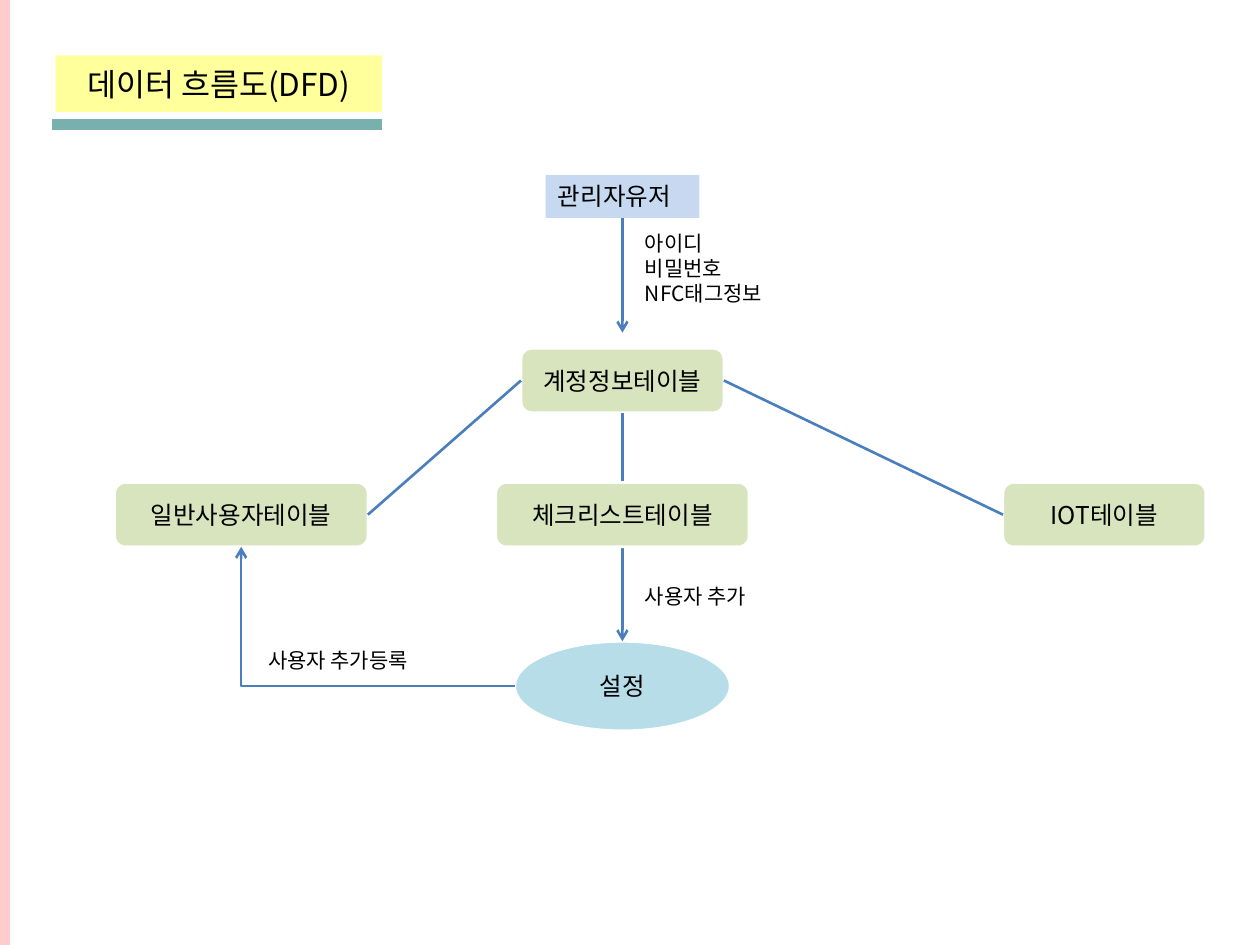
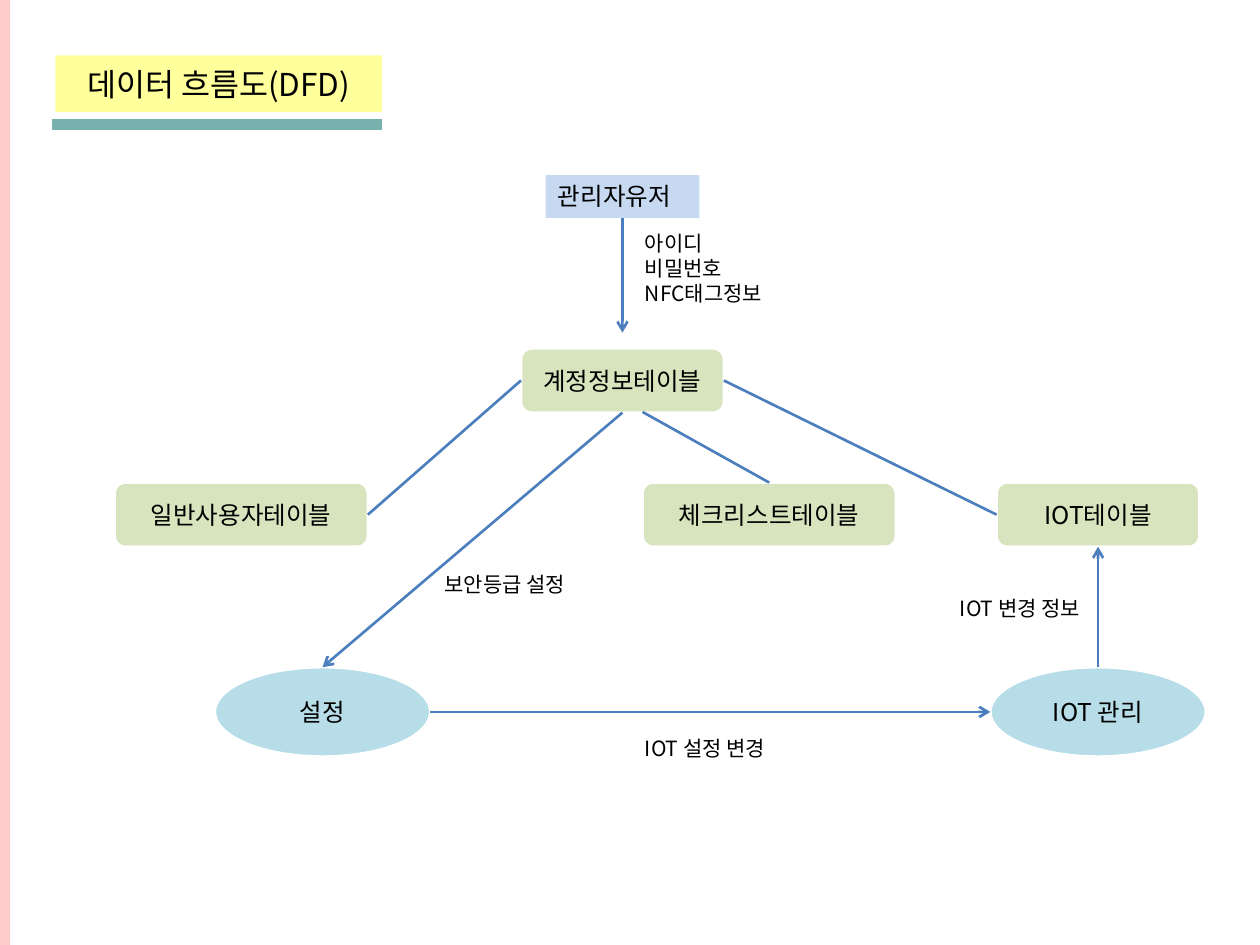
"""Build two data flow diagrams on a shared grid of 100 columns by 75 rows."""
from dataclasses import dataclass

from lxml.etree import SubElement
from pptx import Presentation
from pptx.dml.color import RGBColor
from pptx.enum.shapes import MSO_CONNECTOR, MSO_SHAPE
from pptx.enum.text import MSO_ANCHOR, MSO_AUTO_SIZE, PP_ALIGN
from pptx.oxml.ns import qn
from pptx.util import Inches, Pt

COLS, ROWS = 100, 75
WIDTH, HEIGHT = Inches(10), Inches(7.5)
CENTRE, ACCOUNT_Y, TABLE_Y = 49.4, 30.2, 40.85
NARROW, WIDE, OVAL = (16.1, 5.1), (20.1, 5.1), (17.1, 7.1)


@dataclass(frozen=True)
class Theme:
    """Colours and type sizes of both slides."""
    font: str = "Noto Sans CJK KR"
    ink: str = "000000"
    white: str = "FFFFFF"
    title_fill: str = "FFFF00"
    title_alpha: int = 39
    rule: str = "78B0AD"
    band: str = "FFCCCC"
    user: str = "C6D9F1"
    table: str = "D7E4BD"
    process: str = "B7DEE8"
    flow: str = "4B7EBC"
    title_size: int = 18
    node_size: int = 14
    label_size: int = 12
    rule_width: float = 6
    flow_width: float = 1.5


THEME = Theme()


def col(n):
    """Return the distance of n columns."""
    return round(WIDTH * n / COLS)


def row(n):
    """Return the distance of n rows."""
    return round(HEIGHT * n / ROWS)


def box(x, y, w, h):
    """Return a grid box as slide lengths."""
    return col(x), row(y), col(w), row(h)


def set_attrs(obj, values):
    """Set each named attribute of an object."""
    for name, value in values.items():
        setattr(obj, name, value)


def paint(sp, color):
    """Give a shape a solid fill."""
    sp.fill.solid()
    sp.fill.fore_color.rgb = RGBColor.from_string(color)


def write(sp, text, size, align=PP_ALIGN.CENTER, anchor=MSO_ANCHOR.MIDDLE):
    """Write text lines into a shape in the theme font."""
    tf = sp.text_frame
    tf.text = text
    set_attrs(tf, {"word_wrap": True, "auto_size": MSO_AUTO_SIZE.NONE,
                   "vertical_anchor": anchor})
    for p in tf.paragraphs:
        p.alignment = align
        for r in p.runs:
            set_attrs(r.font, {"name": THEME.font, "size": Pt(size)})
            r.font.color.rgb = RGBColor.from_string(THEME.ink)
            SubElement(r.font._element, qn("a:ea"), typeface=THEME.font)


def add_node(s, kind, centre, size, color, text="", outline=True, **layout):
    """Add a filled shape around a centre point."""
    (x, y), (w, h) = centre, size
    sp = s.shapes.add_shape(kind, *box(x - w / 2, y - h / 2, w, h))
    sp.shadow.inherit = False
    paint(sp, color)
    if outline:
        sp.line.color.rgb = RGBColor.from_string(THEME.white)
        sp.line.width = Pt(THEME.flow_width)
    else:
        sp.line.fill.background()
    if text:
        write(sp, text, THEME.node_size, **layout)
    return sp


def add_table_node(s, text, x, y=TABLE_Y, size=WIDE):
    """Add a rounded box for a data table."""
    return add_node(s, MSO_SHAPE.ROUNDED_RECTANGLE, (x, y), size, THEME.table, text)


def add_process(s, text, x, y):
    """Add an oval for a process."""
    return add_node(s, MSO_SHAPE.OVAL, (x, y), OVAL, THEME.process, text)


def add_label(s, text, x, y):
    """Add a flow label with its top left at a grid point."""
    h = 0.5 + 2.3 * len(text.split("\n"))
    sp = s.shapes.add_textbox(*box(x, y, 15, h))
    write(sp, text, THEME.label_size, PP_ALIGN.LEFT, MSO_ANCHOR.TOP)


def side(sp, name):
    """Return the middle of a side of a shape."""
    fx, fy = {"top": (0.5, 0), "left": (0, 0.5),
              "bottom": (0.5, 1), "right": (1, 0.5)}[name]
    return sp.left + round(sp.width * fx), sp.top + round(sp.height * fy)


def add_flow(s, start, end, arrow=False, bent=False,
             color=THEME.flow, width=THEME.flow_width):
    """Add a straight or one-bend connector between two points."""
    kind = MSO_CONNECTOR.ELBOW if bent else MSO_CONNECTOR.STRAIGHT
    c = s.shapes.add_connector(kind, *start, *end)
    c.line.color.rgb = RGBColor.from_string(color)
    c.line.width = Pt(width)
    spPr = c._element.spPr
    if bent:
        spPr.find(qn("a:prstGeom")).set("prst", "bentConnector2")
    if arrow:
        SubElement(spPr.find(qn("a:ln")), qn("a:tailEnd"), type="arrow")
    SubElement(spPr, qn("a:effectLst"))


def add_title(s, text):
    """Format the title placeholder and underline it."""
    sp = s.shapes.title
    set_attrs(sp, dict(zip(("left", "top", "width", "height"),
                           box(4.4, 4.4, 25.9, 4.5))))
    paint(sp, THEME.title_fill)
    clr = sp._element.spPr.find(".//" + qn("a:srgbClr"))
    SubElement(clr, qn("a:alpha"), val=str(THEME.title_alpha * 1000))
    write(sp, text, THEME.title_size)
    add_flow(s, (col(4.1), row(9.9)), (col(30.3), row(9.9)),
             color=THEME.rule, width=THEME.rule_width)


def add_base(prs, iot_x):
    """Add a slide with the shared frame, login flow and outer tables."""
    s = prs.slides.add_slide(prs.slide_layouts[5])
    add_title(s, "데이터 흐름도(DFD)")
    add_node(s, MSO_SHAPE.RECTANGLE, (0.4, ROWS / 2), (0.8, ROWS),
             THEME.band, outline=False)
    user = add_node(s, MSO_SHAPE.RECTANGLE, (CENTRE, 15.6), (12.2, 3.4), THEME.user,
                    "관리자유저", outline=False,
                    align=PP_ALIGN.LEFT, anchor=MSO_ANCHOR.TOP)
    add_flow(s, side(user, "bottom"), (col(CENTRE), row(26.4)), arrow=True)
    add_label(s, "아이디\n비밀번호\nNFC태그정보", 50.2, 17.8)
    account = add_table_node(s, "계정정보테이블", CENTRE, ACCOUNT_Y, NARROW)
    members = add_table_node(s, "일반사용자테이블", 19.15)
    iot = add_table_node(s, "IOT테이블", iot_x, size=NARROW)
    add_flow(s, side(members, "right"), side(account, "left"))
    add_flow(s, side(account, "right"), side(iot, "left"))
    return s, account, members, iot


def add_member_slide(prs):
    """Add the flow that registers a user."""
    s, account, members, _ = add_base(prs, 87.65)
    settings = add_process(s, "설정", CENTRE, 54.45)
    add_flow(s, side(account, "bottom"), side(settings, "top"), arrow=True)
    add_table_node(s, "체크리스트테이블", CENTRE)
    add_flow(s, side(settings, "left"), side(members, "bottom"), arrow=True, bent=True)
    add_label(s, "사용자 추가", 50.2, 45.8)
    add_label(s, "사용자 추가등록", 20.3, 50.9)


def add_iot_slide(prs):
    """Add the flow that changes the IOT settings."""
    s, account, _, iot = add_base(prs, 87.15)
    checklist = add_table_node(s, "체크리스트테이블", 61.05)
    settings = add_process(s, "설정", 25.6, 56.5)
    control = add_process(s, "IOT 관리", 87.15, 56.5)
    add_flow(s, (col(51), row(32.7)), side(checklist, "top"))
    add_flow(s, side(account, "bottom"), side(settings, "top"), arrow=True)
    add_flow(s, side(settings, "right"), side(control, "left"), arrow=True)
    add_flow(s, side(control, "top"), side(iot, "bottom"), arrow=True)
    add_label(s, "보안등급 설정", 34.3, 44.9)
    add_label(s, "IOT 설정 변경", 50.2, 57.9)
    add_label(s, "IOT 변경 정보", 75.2, 46.8)


def main():
    """Build and save the presentation."""
    prs = Presentation()
    set_attrs(prs, {"slide_width": WIDTH, "slide_height": HEIGHT})
    add_member_slide(prs)
    add_iot_slide(prs)
    prs.save("out.pptx")


if __name__ == "__main__":
    main()
